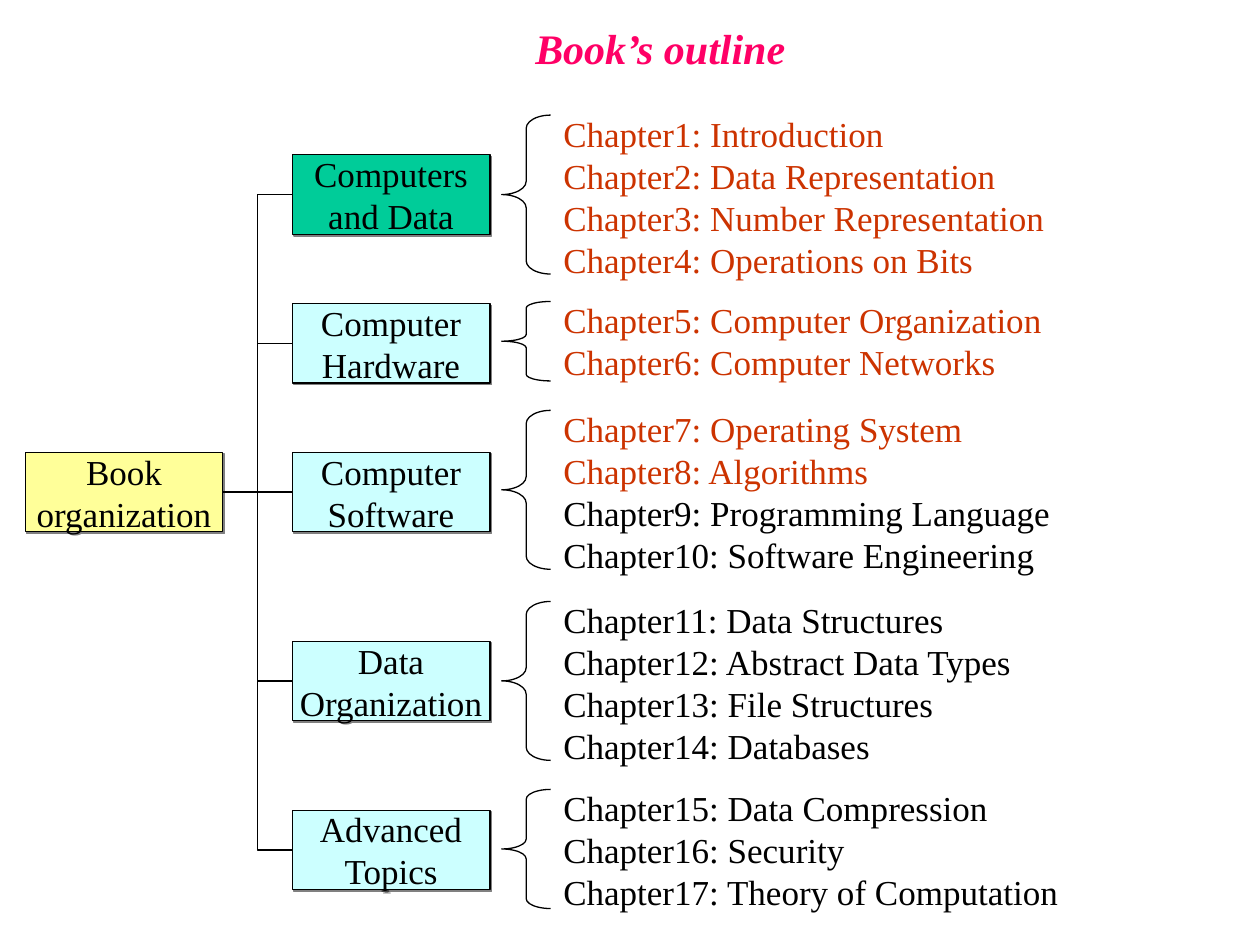
from dataclasses import dataclass

from lxml import etree
from pptx import Presentation
from pptx.dml.color import RGBColor
from pptx.enum import shapes, text
from pptx.oxml import ns
from pptx.util import Pt


@dataclass(frozen=True)
class Theme:
    font: str = "Times New Roman"
    title_size: float = 24
    body_size: float = 20
    line_width: float = 0.75
    title: str = "FF0066"
    ink: str = "000000"
    covered: str = "CC3300"
    root_fill: str = "FFFF99"
    current_fill: str = "00CC99"
    topic_fill: str = "CCFFFF"
    shade: str = "808080"


THEME = Theme()

BOX_WIDTH, BOX_HEIGHT = 113, 45.4
ROOT_LEFT, ROOT_TOP = 14.4, 258.5
TOPIC_LEFT = 167
BRACE_LEFT, BRACE_WIDTH, BRACE_DROP, BRACE_PER_LINE = 286.7, 28, 5.3, 22.7
LIST_LEFT, LIST_WIDTH, LINE_HEIGHT, INSETS = 314.8, 368.6, 24, 7.2
LAST_COVERED = 8

# Box lines, box top, list top, chapter titles
TOPICS = [
    (["Computers", "and Data"], 88.5, 60.5,
     ["Introduction", "Data Representation", "Number Representation",
      "Operations on Bits"]),
    (["Computer", "Hardware"], 173.5, 167,
     ["Computer Organization", "Computer Networks"]),
    (["Computer", "Software"], 258.5, 229.2,
     ["Operating System", "Algorithms", "Programming Language",
      "Software Engineering"]),
    (["Data", "Organization"], 366.5, 338.4,
     ["Data Structures", "Abstract Data Types", "File Structures",
      "Databases"]),
    (["Advanced", "Topics"], 463, 445.8,
     ["Data Compression", "Security", "Theory of Computation"]),
]


def color(value):
    return RGBColor.from_string(value)


def write_lines(frame, lines, size=THEME.body_size, align=None, emphasis=False):
    """Write (words, colour) pairs, one paragraph each."""
    for index, (words, ink) in enumerate(lines):
        para = frame.paragraphs[0] if index == 0 else frame.add_paragraph()
        para.alignment = align or text.PP_ALIGN.LEFT
        span = para.add_run()
        span.text = words
        span.font.name = THEME.font
        span.font.size = Pt(size)
        span.font.color.rgb = color(ink)
        if emphasis:
            span.font.bold = span.font.italic = True


def set_outline(shape):
    shape.line.color.rgb = color(THEME.ink)
    shape.line.width = Pt(THEME.line_width)


def add_drop_shadow(shape):
    shape.shadow.inherit = False
    effects = shape._element.spPr.find(ns.qn("a:effectLst"))
    drop = etree.SubElement(effects, ns.qn("a:outerShdw"),
                            dist=str(Pt(1.4)), dir="2700000",
                            algn="ctr", rotWithShape="0")
    etree.SubElement(drop, ns.qn("a:srgbClr"), val=THEME.shade)


def add_box(page, left, top, lines, fill):
    box = page.shapes.add_shape(shapes.MSO_SHAPE.RECTANGLE, Pt(left), Pt(top),
                                Pt(BOX_WIDTH), Pt(BOX_HEIGHT))
    box.fill.solid()
    box.fill.fore_color.rgb = color(fill)
    set_outline(box)
    add_drop_shadow(box)
    box.text_frame.word_wrap = False
    box.text_frame.vertical_anchor = text.MSO_ANCHOR.MIDDLE
    write_lines(box.text_frame, [(line, THEME.ink) for line in lines],
                align=text.PP_ALIGN.CENTER)
    return box


def add_branch(page, root, topic):
    """Join the right side of root to the left side of topic."""
    level = root.top == topic.top
    kind = shapes.MSO_CONNECTOR.STRAIGHT if level else shapes.MSO_CONNECTOR.ELBOW
    branch = page.shapes.add_connector(kind, 0, 0, 0, 0)
    branch.begin_connect(root, 3)
    branch.end_connect(topic, 1)
    set_outline(branch)
    etree.SubElement(branch._element.spPr, ns.qn("a:effectLst"))


def add_brace(page, top, height):
    brace = page.shapes.add_shape(shapes.MSO_SHAPE.LEFT_BRACE, Pt(BRACE_LEFT),
                                  Pt(top), Pt(BRACE_WIDTH), Pt(height))
    brace.adjustments[0] = height / 12 / BRACE_WIDTH
    brace.fill.background()
    set_outline(brace)
    brace.shadow.inherit = False


def add_text(page, left, top, width, height, lines, **style):
    box = page.shapes.add_textbox(Pt(left), Pt(top), Pt(width), Pt(height))
    box.text_frame.word_wrap = True
    write_lines(box.text_frame, lines, **style)


def add_chapters(page, top, titles, first):
    lines = [(f"Chapter{number}: {title}",
              THEME.covered if number <= LAST_COVERED else THEME.ink)
             for number, title in enumerate(titles, first)]
    add_brace(page, top + BRACE_DROP, BRACE_PER_LINE * len(lines))
    add_text(page, LIST_LEFT, top, LIST_WIDTH,
             LINE_HEIGHT * len(lines) + INSETS, lines)


def main():
    deck = Presentation()
    deck.slide_width, deck.slide_height = Pt(720), Pt(540)
    page = deck.slides.add_slide(deck.slide_layouts[6])

    root = add_box(page, ROOT_LEFT, ROOT_TOP, ["Book", "organization"],
                   THEME.root_fill)
    chapter = 1
    for index, (name, box_top, list_top, titles) in enumerate(TOPICS):
        fill = THEME.current_fill if index == 0 else THEME.topic_fill
        topic = add_box(page, TOPIC_LEFT, box_top, name, fill)
        add_branch(page, root, topic)
        add_chapters(page, list_top, titles, chapter)
        chapter += len(titles)

    add_text(page, 59.8, 9.4, 635, 36, [("Book’s outline", THEME.title)],
             size=THEME.title_size, align=text.PP_ALIGN.CENTER, emphasis=True)
    deck.save("out.pptx")


if __name__ == "__main__":
    main()
